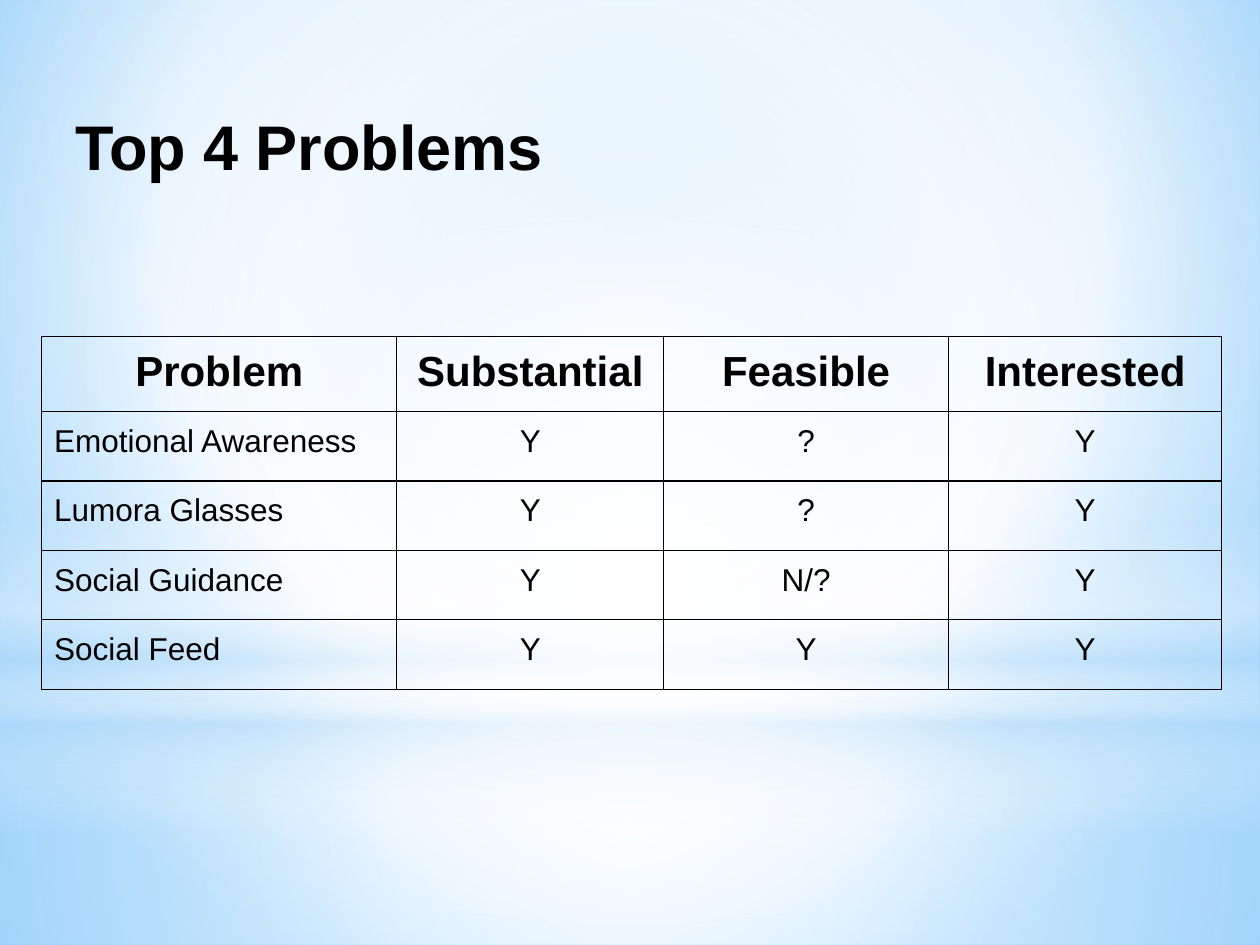
from dataclasses import dataclass

from lxml import etree
from pptx import Presentation
from pptx import util as u
from pptx.dml.color import RGBColor
from pptx.enum import shapes, text
from pptx.oxml import parse_xml
from pptx.oxml.ns import nsdecls, qn


@dataclass(frozen=True)
class Theme:
    font: str = "Arial"
    ink: str = "000000"
    white: str = "FFFFFF"
    haze: str = "B4DCFA"
    sky: str = "9ED5FF"
    deep_sky: str = "5BB9FF"
    title_size: int = 36
    header_size: int = 24
    body_size: int = 18
    border: float = 0.75
    inset: float = 0.25


class SlideBuilder:
    """Holds the theme and the current page."""

    def __init__(self, page, theme):
        self.page, self.theme = page, theme

    def gradient(self, fill, owner, stops, focus=None):
        """Stops are (position, colour, opacity); no focus means top to bottom."""
        fill.gradient()
        old = owner.find(".//" + qn("a:gradFill"))
        marks = "".join(
            f'<a:gs pos="{pos * 1000}"><a:srgbClr val="{colour}">'
            f'<a:alpha val="{opacity * 1000}"/></a:srgbClr></a:gs>'
            for pos, colour, opacity in stops)
        if focus:
            sides = " ".join(f'{side}="{share * 1000}"' for side, share in zip("ltrb", focus))
            course = f'<a:path path="circle"><a:fillToRect {sides}/></a:path>'
        else:
            course = '<a:lin ang="5400000" scaled="0"/>'
        new = parse_xml(f'<a:gradFill {nsdecls("a")} rotWithShape="1">'
                        f'<a:gsLst>{marks}</a:gsLst>{course}</a:gradFill>')
        old.getparent().replace(old, new)

    def background(self, stops, focus):
        self.gradient(self.page.background.fill, self.page.element, stops, focus)

    def glow(self, kind, top, height, stops, focus=None):
        """Full-width soft shape."""
        shape = self.page.shapes.add_shape(kind, 0, u.Cm(top), u.Cm(25.4), u.Cm(height))
        shape.shadow.inherit = False
        shape.line.fill.background()
        self.gradient(shape.fill, shape.element, stops, focus)

    def add_words(self, frame, words, size, bold=False, align=text.PP_ALIGN.LEFT):
        para = frame.paragraphs[0]
        para.alignment = align
        span = para.add_run()
        span.text = words
        span.font.name, span.font.size, span.font.bold = self.theme.font, u.Pt(size), bold
        span.font.color.rgb = RGBColor.from_string(self.theme.ink)

    def pad(self, holder):
        holder.margin_left = holder.margin_right = u.Cm(self.theme.inset)
        holder.margin_top = holder.margin_bottom = u.Cm(self.theme.inset)

    def title(self, words, left, top, width, height):
        box = self.page.shapes.add_textbox(u.Cm(left), u.Cm(top), u.Cm(width), u.Cm(height))
        frame = box.text_frame
        frame.word_wrap = True
        frame.vertical_anchor = text.MSO_ANCHOR.BOTTOM
        self.pad(frame)
        self.add_words(frame, words, self.theme.title_size, bold=True)

    def outline(self, cell):
        props = cell._tc.get_or_add_tcPr()
        for index, side in enumerate("LRTB"):
            line = etree.Element(qn(f"a:ln{side}"), w=str(u.Pt(self.theme.border)))
            solid = etree.SubElement(line, qn("a:solidFill"))
            etree.SubElement(solid, qn("a:srgbClr"), val=self.theme.ink)
            props.insert(index, line)

    def table(self, rows, left, top, widths, row_height):
        table = self.page.shapes.add_table(
            len(rows), len(widths), u.Cm(left), u.Cm(top),
            u.Cm(sum(widths)), u.Cm(row_height * len(rows))).table
        table.first_row = table.horz_banding = False
        for column, width in zip(table.columns, widths):
            column.width = u.Cm(width)
        for r, row in enumerate(rows):
            table.rows[r].height = u.Cm(row_height)
            header = r == 0
            size = self.theme.header_size if header else self.theme.body_size
            for c, words in enumerate(row):
                cell = table.cell(r, c)
                cell.fill.background()
                self.pad(cell)
                self.outline(cell)
                centred = header or c > 0
                align = text.PP_ALIGN.CENTER if centred else text.PP_ALIGN.LEFT
                self.add_words(cell.text_frame, words, size, header, align)


def main():
    deck = Presentation()
    deck.slide_width, deck.slide_height = u.Cm(25.4), u.Cm(19.05)
    theme = Theme()
    slide = SlideBuilder(deck.slides.add_slide(deck.slide_layouts[6]), theme)
    white, haze = theme.white, theme.haze
    rect, oval = shapes.MSO_SHAPE.RECTANGLE, shapes.MSO_SHAPE.OVAL
    centre = (50, 50, 50, 50)

    # Sky backdrop
    slide.background([(0, theme.sky, 100), (60, white, 100), (100, theme.deep_sky, 100)],
                     (20, 10, 20, 60))
    slide.glow(rect, 14.17, 4.88, [(0, white, 91), (37, white, 76), (100, haze, 79)], centre)
    slide.glow(rect, 0, 14.17, [(0, white, 89), (48, white, 62), (100, haze, 79)], centre)
    slide.glow(rect, 10.46, 6.35, [(0, white, 0), (29, white, 30), (45, haze, 40),
                                   (55, white, 26), (65, haze, 60), (100, white, 0)])
    slide.glow(oval, 4.45, 14.17, [(0, white, 100), (56, white, 0)], centre)

    # Title
    slide.title("Top 4 Problems", 1.27, 0.76, 22.86, 3.18)

    # Ratings table
    slide.table([
        ("Problem", "Substantial", "Feasible", "Interested"),
        ("Emotional Awareness", "Y", "?", "Y"),
        ("Lumora Glasses", "Y", "?", "Y"),
        ("Social Guidance", "Y", "N/?", "Y"),
        ("Social Feed", "Y", "Y", "Y"),
    ], 0.84, 6.78, (7.16, 5.38, 5.74, 5.51), 1.4)

    deck.save("out.pptx")


if __name__ == "__main__":
    main()
